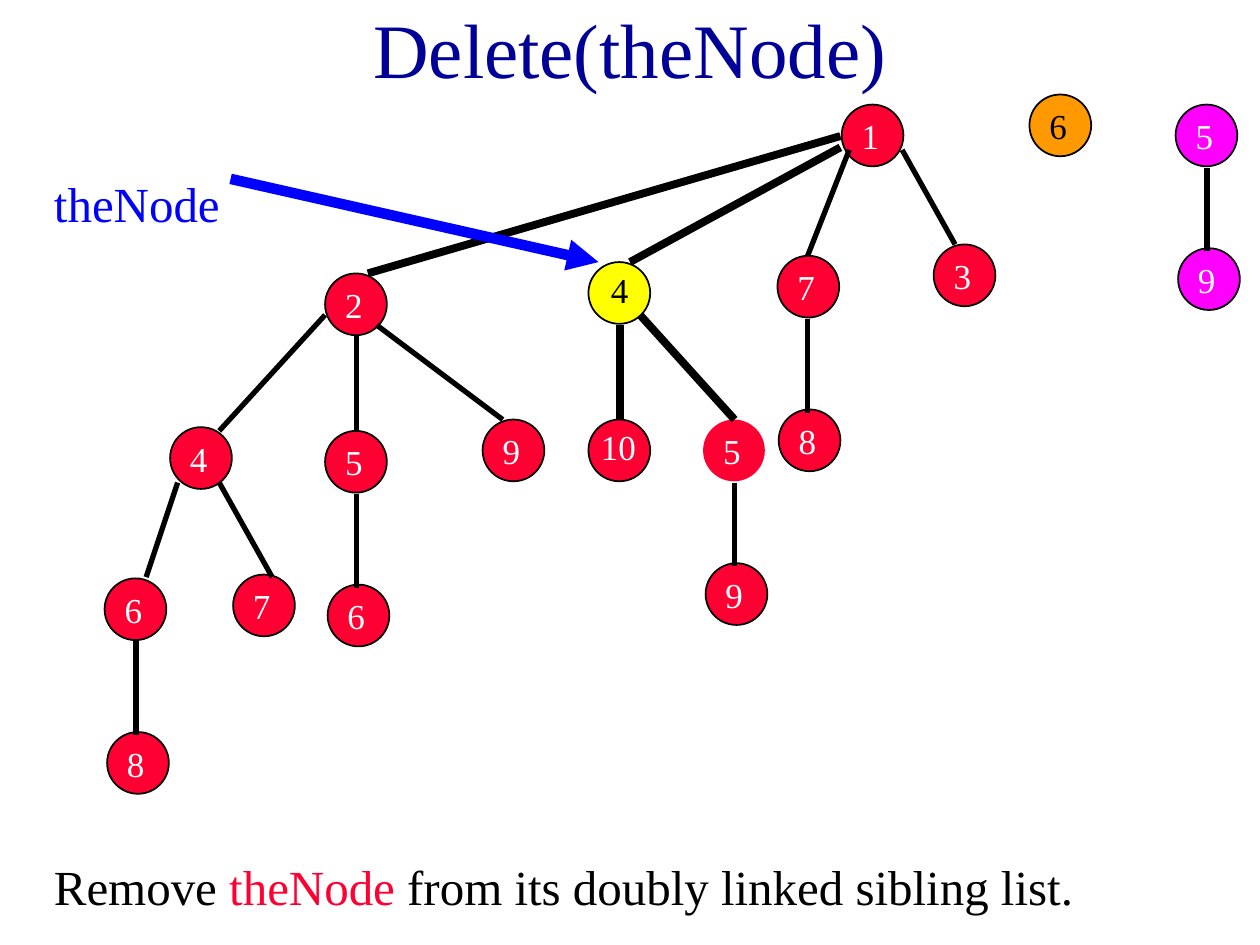
from dataclasses import dataclass

from lxml import etree
from pptx import Presentation
from pptx.dml.color import RGBColor
from pptx.enum import shapes, text
from pptx.oxml import ns
from pptx.util import Inches, Pt

FONT = "Times New Roman"
COLORS = {
    "title": "000099",
    "red": "FF0033",
    "yellow": "FFFF00",
    "orange": "FF9900",
    "magenta": "FF00FF",
    "blue": "0000FF",
    "black": "000000",
    "white": "FFFFFF",
}
DIAMETER = 0.49
THIN, THICK, POINTER = 3, 4.5, 6


@dataclass(frozen=True)
class Node:
    key: str
    left: float
    top: float
    fill: str = "red"
    color: str = "white"
    outlined: bool = True
    label_dx: float = 0.06
    label_dy: float = 0.03
    label_width: float = 0.34


@dataclass(frozen=True)
class Edge:
    start: tuple[float, float]
    end: tuple[float, float]
    width: float = THIN
    color: str = "black"
    arrow: bool = False


NODES = [
    # tree rooted at 1
    Node("1", 6.68, 0.83),
    Node("7", 6.17, 2.03),
    Node("3", 7.41, 1.94),
    Node("8", 6.18, 3.25),
    # subtree of 2
    Node("2", 2.58, 2.17),
    Node("5", 2.58, 3.42),
    Node("9", 3.83, 3.33),
    Node("6", 2.6, 4.64),
    Node("4", 1.35, 3.39),
    Node("6", 0.83, 4.59),
    Node("7", 1.85, 4.56),
    Node("8", 0.85, 5.81),
    # subtree of theNode
    Node("10", 4.67, 3.33, label_dx=0, label_dy=0, label_width=0.48),
    Node("4", 4.67, 2.08, "yellow", "black", label_dx=0.08, label_dy=0),
    Node("5", 5.58, 3.33, outlined=False),
    Node("9", 5.6, 4.47),
    # other trees
    Node("6", 8.17, 0.75, "orange", "black"),
    Node("5", 9.33, 0.83, "magenta"),
    Node("9", 9.35, 1.97, "magenta"),
]

EDGES = [
    Edge((6.41, 2.53), (6.41, 3.28)),
    Edge((6.74, 1.19), (6.41, 2.03)),
    Edge((7.16, 1.19), (7.58, 1.94)),
    Edge((2.83, 3.92), (2.83, 4.67)),
    Edge((2.83, 2.67), (2.83, 3.42)),
    Edge((2.99, 2.58), (3.99, 3.33)),
    Edge((1.08, 5.08), (1.08, 5.83)),
    Edge((1.41, 3.83), (1.16, 4.58)),
    Edge((1.74, 3.83), (2.16, 4.58)),
    Edge((2.58, 2.5), (1.74, 3.42)),
    Edge((5.83, 3.83), (5.83, 4.49)),
    Edge((9.58, 1.33), (9.58, 1.99)),
    Edge((4.92, 2.58), (4.92, 3.33), THICK),
    Edge((5.08, 2.5), (5.83, 3.33), THICK),
    Edge((6.67, 1.17), (5, 2.08), THICK),
    Edge((6.67, 1.08), (2.92, 2.17), THICK),
    Edge((4.75, 2.08), (1.83, 1.42), POINTER, "blue", arrow=True),
]


def rgb(name: str) -> RGBColor:
    return RGBColor.from_string(COLORS[name])


def add_run(paragraph, words: str, *, size: float, color: str) -> None:
    run = paragraph.add_run()
    run.text = words
    run.font.name = FONT
    run.font.size = Pt(size)
    run.font.color.rgb = rgb(color)


def add_text(slide, runs: list[tuple[str, str]], *, left: float, top: float,
             width: float, height: float, size: float = 28, wrap: bool = True) -> None:
    """Add a one-paragraph text box from (words, colour) runs."""
    box = slide.shapes.add_textbox(Inches(left), Inches(top), Inches(width), Inches(height))
    frame = box.text_frame
    frame.word_wrap = wrap
    frame.auto_size = text.MSO_AUTO_SIZE.SHAPE_TO_FIT_TEXT
    for words, color in runs:
        add_run(frame.paragraphs[0], words, size=size, color=color)


def add_title(slide, words: str) -> None:
    title = slide.shapes.title
    title.left, title.top = Inches(0.75), Inches(0)
    title.width, title.height = Inches(8.5), Inches(0.75)
    frame = title.text_frame
    frame.auto_size = text.MSO_AUTO_SIZE.NONE
    frame.vertical_anchor = text.MSO_ANCHOR.MIDDLE
    paragraph = frame.paragraphs[0]
    paragraph.alignment = text.PP_ALIGN.CENTER
    add_run(paragraph, words, size=44, color="title")


def add_node(slide, node: Node) -> None:
    circle = slide.shapes.add_shape(
        shapes.MSO_SHAPE.OVAL, Inches(node.left), Inches(node.top),
        Inches(DIAMETER), Inches(DIAMETER))
    circle.shadow.inherit = False
    circle.fill.solid()
    circle.fill.fore_color.rgb = rgb(node.fill)
    if node.outlined:
        circle.line.color.rgb = rgb("black")
        circle.line.width = Pt(1)
    else:
        circle.line.fill.background()
    add_text(slide, [(node.key, node.color)], left=node.left + node.label_dx,
             top=node.top + node.label_dy, width=node.label_width, height=0.43,
             size=20, wrap=False)


def add_edge(slide, edge: Edge) -> None:
    connector = slide.shapes.add_connector(
        shapes.MSO_CONNECTOR.STRAIGHT, *map(Inches, edge.start + edge.end))
    connector.line.color.rgb = rgb(edge.color)
    connector.line.width = Pt(edge.width)
    if edge.arrow:
        etree.SubElement(connector.line._get_or_add_ln(), ns.qn("a:headEnd"), type="triangle")
    etree.SubElement(connector._element.spPr, ns.qn("a:effectLst"))


def main() -> None:
    presentation = Presentation()
    presentation.slide_width, presentation.slide_height = Inches(10), Inches(7.5)
    slide = presentation.slides.add_slide(presentation.slide_layouts.get_by_name("Title Only"))
    add_title(slide, "Delete(theNode)")
    add_text(slide, [("Remove ", "black"), ("theNode ", "red"),
                     ("from its doubly linked sibling list.", "black")],
             left=0.33, top=6.75, width=9, height=0.57)
    for node in NODES:
        add_node(slide, node)
    for edge in EDGES:
        add_edge(slide, edge)
    add_text(slide, [("theNode", "blue")], left=0.33, top=1.33, width=1.92, height=0.57)
    presentation.save("out.pptx")


if __name__ == "__main__":
    main()
